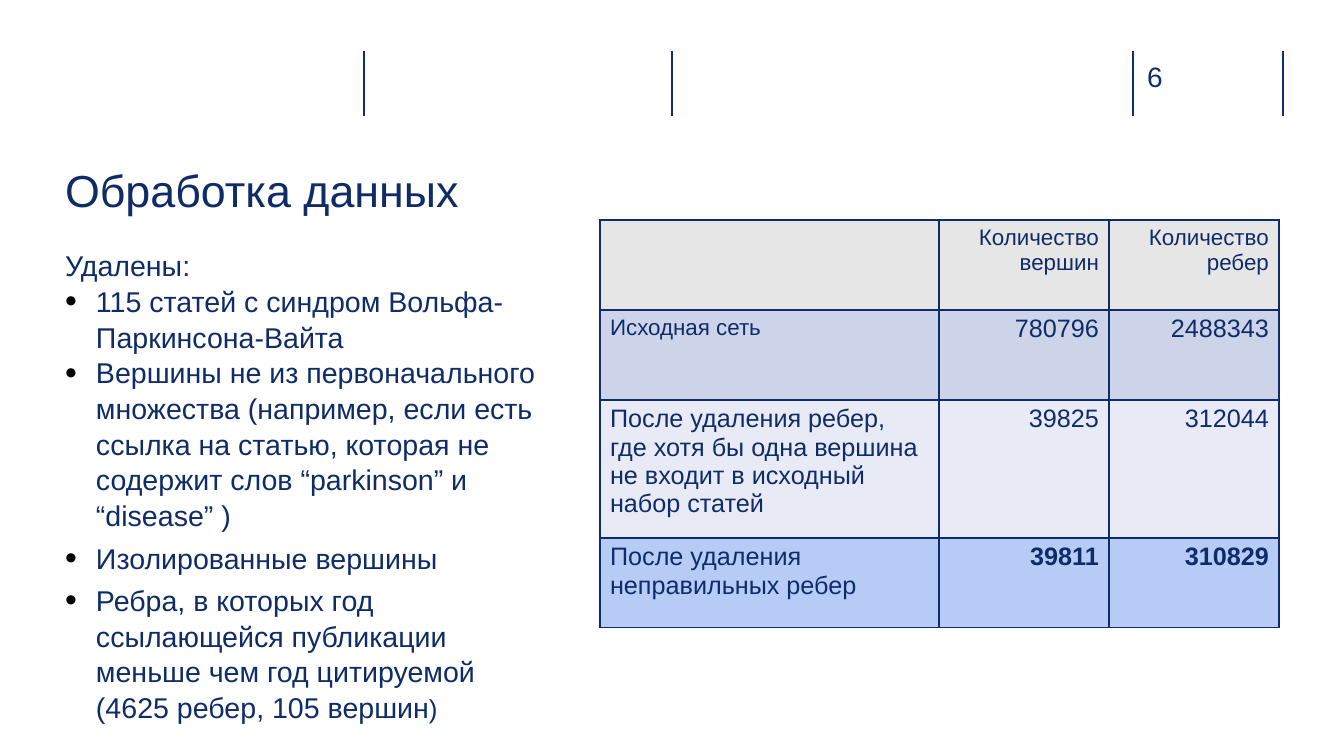
from lxml.etree import SubElement
from pptx import Presentation
from pptx.dml.color import RGBColor as RGB
from pptx.enum.shapes import MSO_CONNECTOR as CONN
from pptx.enum.text import MSO_ANCHOR as ANCHOR, MSO_AUTO_SIZE as AUTO, PP_ALIGN as ALIGN
from pptx.oxml.ns import qn
from pptx.util import Pt

SCALE = 914400 / 100.8
FONT = "Arial"
COLORS = {
    "navy": "102D69", "ink": "0F2C68", "bullet": "000000", "header": "E7E6E6",
    "source": "CDD4EA", "filtered": "E8EBF5", "final": "B6CCF7",
}
DIVIDERS = [364, 672, 1133, 1283]
BULLETS = [
    ([("115 статей с синдром Вольфа-Паркинсона-Вайта", 20.4)], 0),
    ([("Вершины не из первоначального множества (например, если есть ссылка на статью, "
       "которая не содержит слов “parkinson” и “disease” )", 20.4)], 0),
    ([("Изолированные вершины", 20.4)], 5),
    ([("Ребра, в которых год ссылающейся публикации меньше чем год цитируемой "
       "(4625 ребер, 105 вершин", 20.4), (")", 18.5)], 5),
]
COLUMNS = [339, 170, 170]
ROWS = [
    (90, "header", 16, 16, False, ["", "Количество вершин", "Количество ребер"]),
    (90, "source", 16, 18, False, ["Исходная сеть", "780796", "2488343"]),
    (138, "filtered", 18, 18, False,
     ["После удаления ребер, где хотя бы одна вершина не входит в исходный набор статей",
      "39825", "312044"]),
    (90, "final", 18, 18, True, ["После удаления неправильных ребер", "39811", "310829"]),
]


def px(n):
    """Convert pixels to EMU."""
    return round(n * SCALE)


def color(name):
    """Return a palette colour."""
    return RGB.from_string(COLORS[name])


def add_run(p, text, size, name="ink", bold=False):
    """Add one formatted run to a paragraph."""
    r = p.add_run()
    r.text = text
    r.font.name = FONT
    r.font.size = Pt(size)
    r.font.bold = bold
    r.font.color.rgb = color(name)


def set_frame(sp, box, anchor=ANCHOR.TOP):
    """Place a text shape and return its frame without margins."""
    sp.left, sp.top, sp.width, sp.height = map(px, box)
    tf = sp.text_frame
    tf.margin_left = tf.margin_top = tf.margin_right = tf.margin_bottom = 0
    tf.word_wrap = True
    tf.auto_size = AUTO.NONE
    tf.vertical_anchor = anchor
    return tf


def set_bullet(p, bulleted):
    """Set the indent and the bullet of a paragraph."""
    pPr = p._p.get_or_add_pPr()
    indent = px(31) if bulleted else 0
    pPr.set("marL", str(indent))
    pPr.set("indent", str(-indent))
    if not bulleted:
        SubElement(pPr, qn("a:buNone"))
        return
    clr = SubElement(pPr, qn("a:buClr"))
    SubElement(clr, qn("a:srgbClr"), val=COLORS["bullet"])
    SubElement(pPr, qn("a:buSzPct"), val="118000")
    SubElement(pPr, qn("a:buFont"), typeface=FONT)
    SubElement(pPr, qn("a:buChar"), char="•")


def add_item(p, runs, before=0, bulleted=True):
    """Fill one paragraph of the list."""
    p.alignment = ALIGN.LEFT
    p.line_spacing = 1.04
    p.space_before = Pt(before)
    p.space_after = Pt(0)
    set_bullet(p, bulleted)
    for text, size in runs:
        add_run(p, text, size)


def add_divider(s, x):
    """Draw one vertical header line."""
    line = s.shapes.add_connector(CONN.STRAIGHT, px(x), px(51), px(x), px(116))
    line.line.color.rgb = color("navy")
    line.line.width = Pt(1)
    SubElement(line._element.spPr, qn("a:effectLst"))


def set_borders(cell):
    """Outline a cell on all four sides."""
    tcPr = cell._tc.get_or_add_tcPr()
    for side in ("lnL", "lnR", "lnT", "lnB"):
        ln = SubElement(tcPr, qn(f"a:{side}"), w=str(Pt(1)))
        fill = SubElement(ln, qn("a:solidFill"))
        SubElement(fill, qn("a:srgbClr"), val=COLORS["ink"])


def add_counts_table(s):
    """Add the table of vertex and edge counts."""
    height = sum(row[0] for row in ROWS)
    table = s.shapes.add_table(len(ROWS), len(COLUMNS), px(600), px(220),
                               px(sum(COLUMNS)), px(height)).table
    for col, width in zip(table.columns, COLUMNS):
        col.width = px(width)
    for i, (height, fill, label_size, value_size, bold, texts) in enumerate(ROWS):
        table.rows[i].height = px(height)
        for j, text in enumerate(texts):
            cell = table.cell(i, j)
            set_borders(cell)
            cell.fill.solid()
            cell.fill.fore_color.rgb = color(fill)
            p = cell.text_frame.paragraphs[0]
            p.alignment = ALIGN.RIGHT if j else ALIGN.LEFT
            if text:
                add_run(p, text, value_size if j else label_size, bold=bold and j > 0)


def main():
    """Build and save the slide."""
    prs = Presentation()
    prs.slide_width, prs.slide_height = px(1344), px(756)
    s = prs.slides.add_slide(prs.slide_layouts[1])
    for x in DIVIDERS:
        add_divider(s, x)

    number = s.shapes.add_textbox(0, 0, 0, 0)
    tf = set_frame(number, (1147, 59, 74, 34))
    add_run(tf.paragraphs[0], "6", 20, "navy")

    tf = set_frame(s.shapes.title, (65, 159, 477, 61), ANCHOR.MIDDLE)
    tf.paragraphs[0].alignment = ALIGN.LEFT
    add_run(tf.paragraphs[0], "Обработка данных", 32)

    tf = set_frame(s.placeholders[1], (65, 247, 477, 477))
    add_item(tf.paragraphs[0], [("Удалены:", 20.4)], bulleted=False)
    for runs, before in BULLETS:
        add_item(tf.add_paragraph(), runs, before)

    add_counts_table(s)
    prs.save("out.pptx")


if __name__ == "__main__":
    main()
